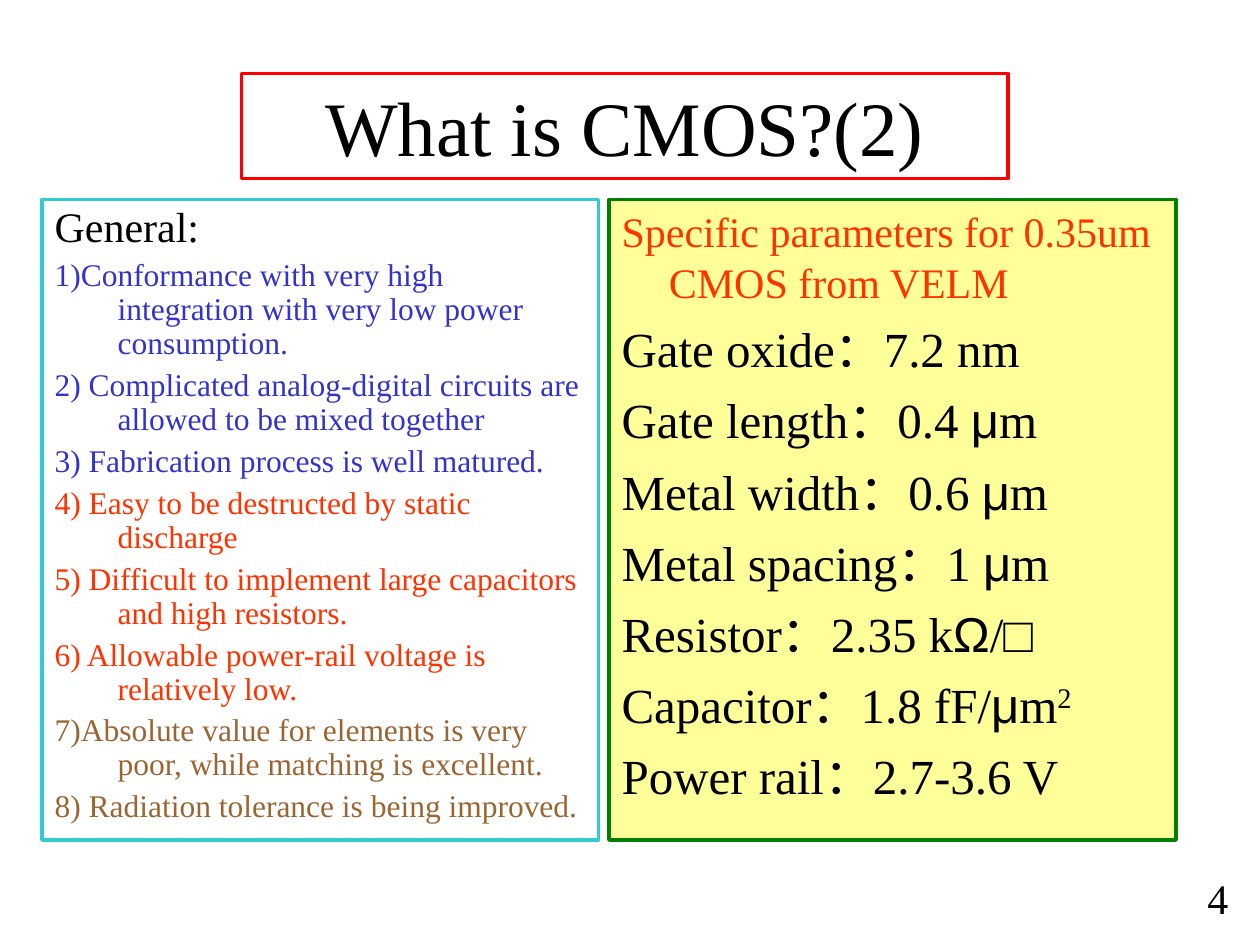
from pptx import Presentation, util as u
from pptx.dml.color import RGBColor
from pptx.enum import text
from pptx.oxml.ns import qn
from lxml import etree

SCALE = 7620  # EMU per px, 120 px to the inch
SERIF, SYMBOL = "Times New Roman", "Arial"
BLACK, BLUE, ORANGE, BROWN = "000000", "3333CC", "FF3300", "996633"


def px(length):
    return u.Emu(length * SCALE)


def color(value):
    return RGBColor.from_string(value)


class SlideBuilder:
    def __init__(self, deck):
        self.page = deck.slides.add_slide(deck.slide_layouts[3])

    def format_span(self, span, size, ink, face=SERIF):
        span.font.size = u.Pt(size)
        span.font.name = face
        span.font.color.rgb = color(ink)

    def frame(self, index, area, line, fill=None):
        """Place a placeholder as an outlined panel and return its text frame."""
        box = self.page.placeholders[index]
        box.left, box.top, box.width, box.height = map(px, area)
        box.line.color.rgb = color(line)
        box.line.width = u.Pt(2)
        if fill:
            box.fill.solid()
            box.fill.fore_color.rgb = color(fill)
        box.text_frame.auto_size = text.MSO_AUTO_SIZE.NONE
        return box.text_frame

    def title(self, words, area, line):
        frame = self.frame(0, area, line)
        frame.text = words
        frame.vertical_anchor = text.MSO_ANCHOR.MIDDLE
        para = frame.paragraphs[0]
        para.alignment = text.PP_ALIGN.CENTER
        self.format_span(para.runs[0], 44, BLACK)

    def panel(self, index, area, line, items, indent, spacing, gap, fill=None):
        """Fill a body placeholder with (pieces, size, ink) items.

        A piece "μ" or "Ω" is set in the symbol font; "^" marks a superscript.
        """
        frame = self.frame(index, area, line, fill)
        for number, (pieces, size, ink) in enumerate(items):
            para = frame.add_paragraph() if number else frame.paragraphs[0]
            properties = para._p.get_or_add_pPr()
            properties.set("marL", str(px(indent)))
            properties.set("indent", str(-px(indent)))
            etree.SubElement(properties, qn("a:buNone"))
            para.line_spacing = spacing
            para.space_before = u.Pt(gap if number else 0)
            for piece in pieces:
                span = para.add_run()
                span.text = piece.lstrip("^")
                self.format_span(span, size, ink, SYMBOL if piece in "μΩ" else SERIF)
                if piece.startswith("^"):
                    span._r.get_or_add_rPr().set("baseline", "30000")

    def label(self, words, area, size):
        frame = self.page.shapes.add_textbox(*map(px, area)).text_frame
        frame.text = words
        frame.word_wrap = False
        frame.auto_size = text.MSO_AUTO_SIZE.SHAPE_TO_FIT_TEXT
        self.format_span(frame.paragraphs[0].runs[0], size, BLACK)


GENERAL = [
    ("1)Conformance with very high integration with very low power consumption.", BLUE),
    ("2) Complicated analog-digital circuits are allowed to be mixed together", BLUE),
    ("3) Fabrication process is well matured.", BLUE),
    ("4) Easy to be destructed by static discharge", ORANGE),
    ("5) Difficult to implement large capacitors and high resistors.", ORANGE),
    ("6) Allowable power-rail voltage is relatively low.", ORANGE),
    ("7)Absolute value for elements is very poor, while matching is excellent.", BROWN),
    ("8) Radiation tolerance is being improved.", BROWN),
]
PARAMETERS = [
    ["Gate oxide：7.2 nm"],
    ["Gate length：0.4 ", "μ", "m"],
    ["Metal width：0.6 ", "μ", "m"],
    ["Metal spacing：1 ", "μ", "m"],
    ["Resistor：2.35 k", "Ω", "/□"],
    ["Capacitor：1.8 fF/", "μ", "m", "^2"],
    ["Power rail：2.7-3.6 V"],
]


def main():
    deck = Presentation()
    deck.slide_width, deck.slide_height = px(1200), px(900)
    slide = SlideBuilder(deck)
    slide.title("What is CMOS?(2)", (230, 70, 730, 100), "FF0000")
    general = [(["General:"], 24, BLACK)]
    general += [([words], 18, ink) for words, ink in GENERAL]
    slide.panel(1, (40, 190, 530, 610), "33CCCC", general, 60, 0.9, 4.5)
    parameters = [(["Specific parameters for 0.35um CMOS from VELM"], 24, ORANGE)]
    parameters += [(pieces, 28, BLACK) for pieces in PARAMETERS]
    slide.panel(2, (580, 190, 540, 610), "008000", parameters, 45, 1.0, 7, "FFFF99")
    slide.label("4", (1138, 825, 43, 60), 24)
    deck.save("out.pptx")


if __name__ == "__main__":
    main()
